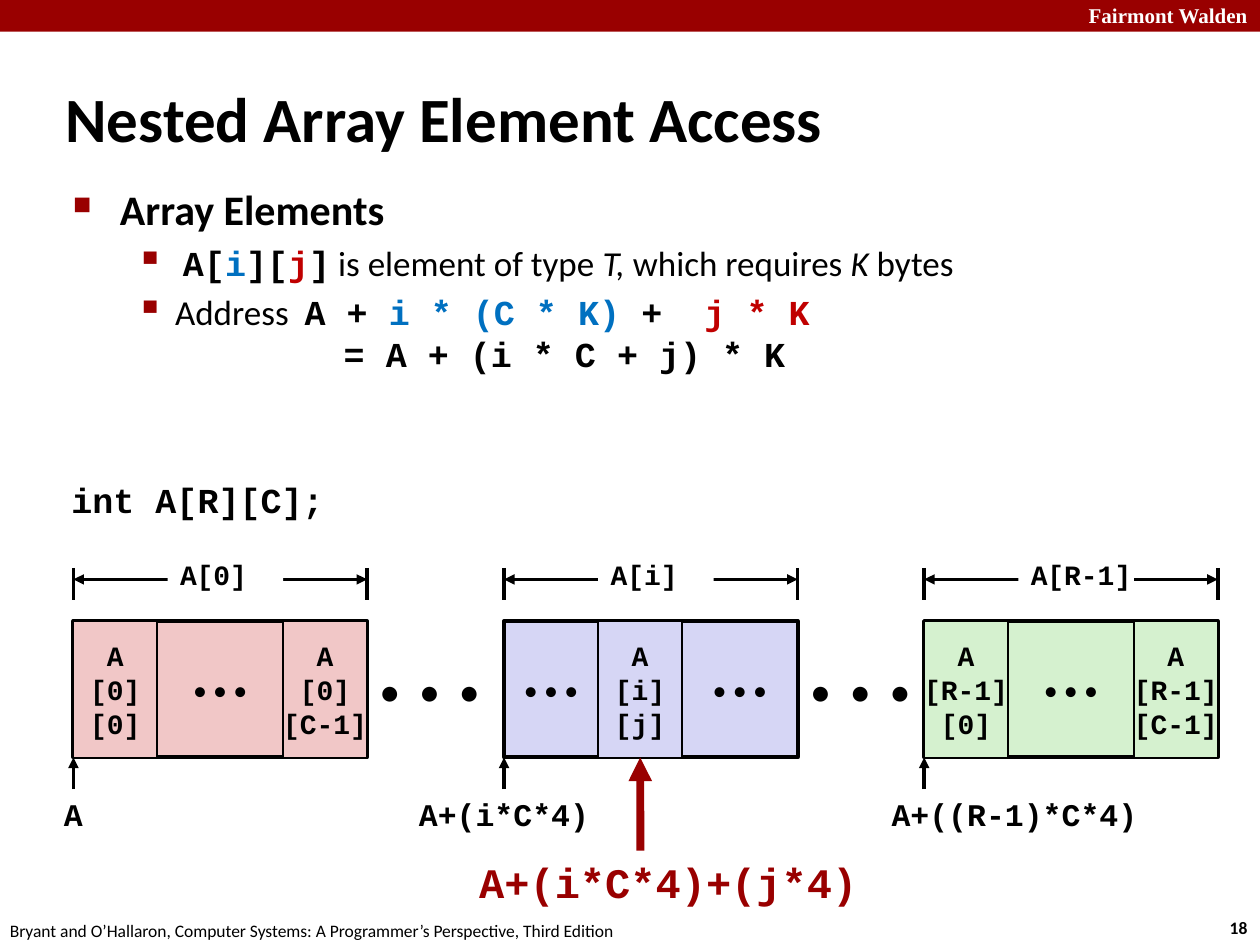
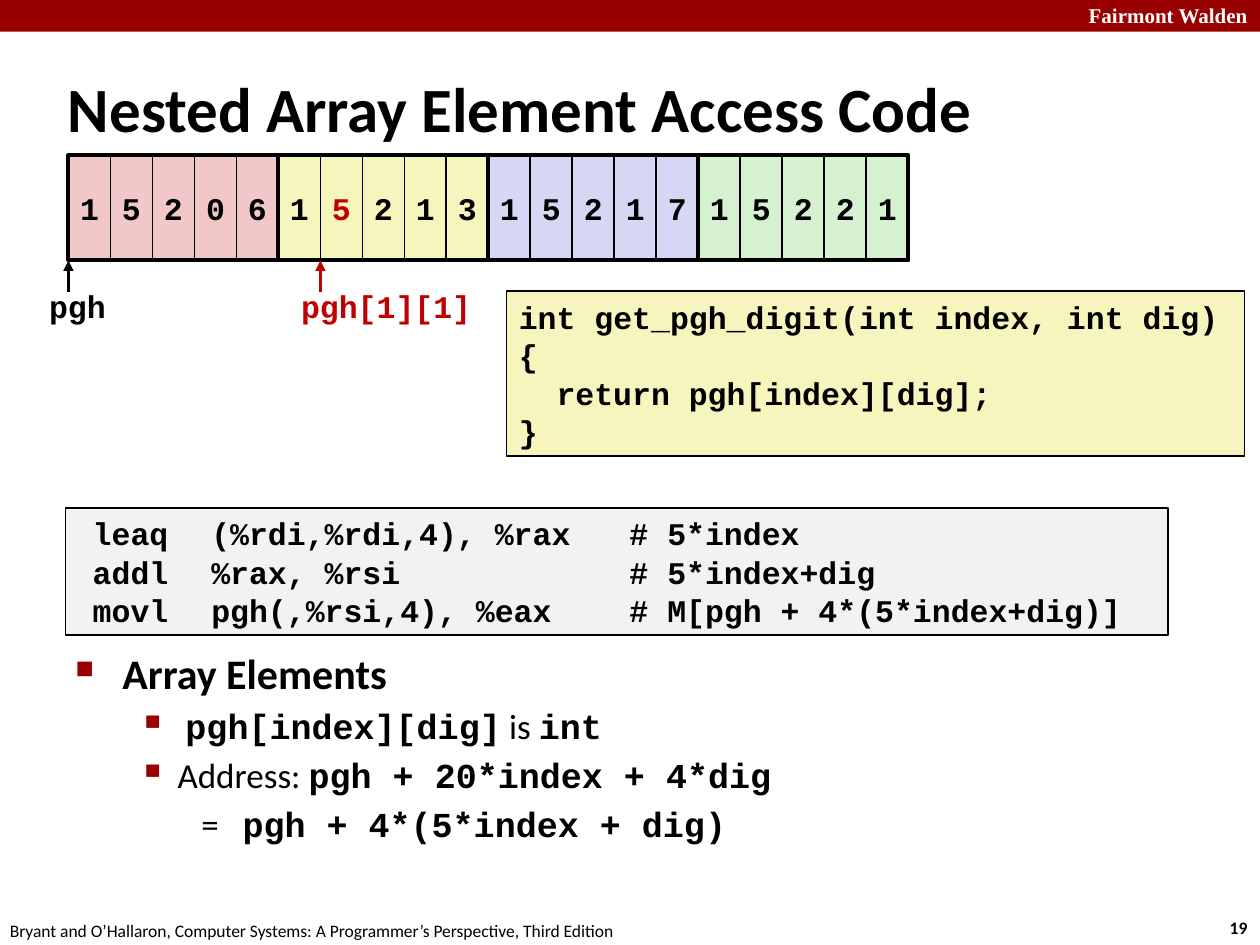
from dataclasses import dataclass
from typing import NamedTuple

from lxml.etree import SubElement
from pptx import Presentation
from pptx.dml.color import RGBColor
from pptx.enum.shapes import MSO_CONNECTOR as Link, MSO_SHAPE as Preset
from pptx.enum.text import MSO_ANCHOR as Anchor, PP_ALIGN as Align
from pptx.oxml.ns import qn
from pptx.util import Cm, Pt


@dataclass(frozen=True)
class Theme:
    """Colours, fonts and type sizes of the deck."""
    black: str = "000000"
    white: str = "FFFFFF"
    crimson: str = "990000"
    red: str = "C00000"
    blue: str = "0070C0"
    pink: str = "F1C7C7"
    yellow: str = "F6F5BD"
    lilac: str = "D6D6F5"
    green: str = "D5F1CF"
    grey: str = "F2F2F2"
    sans: str = "Calibri"
    mono: str = "Courier New"
    serif: str = "Times New Roman"
    title: int = 36
    heading: int = 24
    body: int = 20
    code: int = 18
    cell: int = 16
    brand: int = 12
    footer: int = 10
    thin: float = 1
    rule: float = 2
    frame: float = 2.25
    heavy: float = 4.5
    leading: float = 1.21


class Box(NamedTuple):
    """A rectangle in centimetres."""
    left: float
    top: float
    width: float
    height: float

    @property
    def bottom(self):
        """Return the lower edge."""
        return self.top + self.height

    def lengths(self):
        """Return the four values as slide lengths."""
        return [Cm(value) for value in self]


T = Theme()
MONO = dict(font=T.mono, bold=True)
BRAND = "Fairmont Walden"
CITATION = ("Bryant and O’Hallaron, Computer Systems: "
            "A Programmer’s Perspective, Third Edition")
POINTER = 0.64


def rgb(code):
    """Turn a hex code into a colour."""
    return RGBColor.from_string(code)


def write(frame, text, *, size=T.body, font=T.sans, color=T.black, bold=False,
          italic=False, align=Align.LEFT, before=0, leading=None, margin=0,
          indent=0, bullet=None, bullet_size=100, tabs=()):
    """Add one paragraph, given as a string or as (text, format) runs."""
    first = frame.paragraphs[0]
    paragraph = frame.add_paragraph() if first.runs else first
    paragraph.alignment = align
    paragraph.space_before = Pt(before)
    if leading:
        paragraph.line_spacing = Pt(round(size * leading, 1))
    properties = paragraph._p.get_or_add_pPr()
    for name, length in (("marL", margin), ("indent", indent)):
        if length:
            properties.set(name, str(Cm(length)))
    if bullet:
        tint = SubElement(properties, qn("a:buClr"))
        SubElement(tint, qn("a:srgbClr"), val=T.crimson)
        SubElement(properties, qn("a:buSzPct"), val=str(bullet_size * 1000))
        SubElement(properties, qn("a:buChar"), char=bullet)
    if tabs:
        stops = SubElement(properties, qn("a:tabLst"))
        for stop in tabs:
            SubElement(stops, qn("a:tab"), pos=str(Cm(stop)), algn="l")
    base = dict(size=size, font=font, color=color, bold=bold, italic=italic)
    for words, changes in [(text, {})] if isinstance(text, str) else text:
        look = base | changes
        run = paragraph.add_run()
        run.text = words
        run.font.size = Pt(look["size"])
        run.font.name = look["font"]
        run.font.bold = look["bold"]
        run.font.italic = look["italic"]
        run.font.color.rgb = rgb(look["color"])
    return paragraph


def text_area(slide, box, anchor=Anchor.TOP, wrap=False):
    """Add a text box and return its frame."""
    frame = slide.shapes.add_textbox(*box.lengths()).text_frame
    frame.vertical_anchor = anchor
    frame.word_wrap = wrap
    return frame


def block(slide, box, fill=None, line=None, anchor=Anchor.MIDDLE, wrap=False):
    """Add a rectangle with an optional fill and black outline."""
    shape = slide.shapes.add_shape(Preset.RECTANGLE, *box.lengths())
    shape.shadow.inherit = False
    if fill:
        shape.fill.solid()
        shape.fill.fore_color.rgb = rgb(fill)
    else:
        shape.fill.background()
    if line:
        shape.line.color.rgb = rgb(T.black)
        shape.line.width = Pt(line)
    else:
        shape.line.fill.background()
    shape.text_frame.vertical_anchor = anchor
    shape.text_frame.word_wrap = wrap
    return shape


def stroke(slide, start, end, color=T.black, width=T.rule, arrows=(), target=None):
    """Draw a straight line, with arrowheads and a joined target if given."""
    line = slide.shapes.add_connector(
        Link.STRAIGHT, *[Cm(value) for value in (*start, *end)])
    line.line.color.rgb = rgb(color)
    line.line.width = Pt(width)
    for arrow in arrows:
        SubElement(line.line._get_or_add_ln(), qn(f"a:{arrow}"), type="triangle")
    SubElement(line._element.spPr, qn("a:effectLst"))
    if target:
        line.end_connect(target, 2)


def pointer(slide, x, tip, color=T.black):
    """Draw a short arrow that points up at an address."""
    stroke(slide, (x, tip + POINTER), (x, tip), color, arrows=["tailEnd"])


def label_width(text):
    """Return the width that a line of code needs with its margins."""
    return 0.38 * len(text) + 0.6


def base_slide(deck, number, title, title_box):
    """Add a slide with its band, title and footer."""
    slide = deck.slides.add_slide(deck.slide_layouts[6])
    block(slide, Box(0, 0, 25.4, 0.64), T.crimson)
    write(text_area(slide, Box(18.4, -0.08, 7, 0.76), wrap=True), BRAND,
          size=T.brand, font=T.serif, color=T.white, bold=True, align=Align.RIGHT)
    write(text_area(slide, Box(24.54, 18.36, 0.94, 0.69)), str(number),
          size=T.footer, bold=True)
    write(text_area(slide, Box(-0.05, 18.42, 12.9, 0.69)), CITATION, size=T.footer)
    write(text_area(slide, title_box, Anchor.MIDDLE, True), title,
          size=T.title, bold=True)
    return slide


def bullet_list(slide, box, heading, items):
    """Write a heading with bulleted items and return the frame."""
    frame = text_area(slide, box, wrap=True)
    write(frame, heading, size=T.heading, bold=True, before=4.8, margin=0.95,
          indent=-0.95, bullet="■", bullet_size=60)
    for item in items:
        write(frame, item, before=4, margin=2.06, indent=-0.79,
              bullet="▪", bullet_size=110)
    return frame


def span_bracket(slide, box, name):
    """Draw the dimension line above a row, with the row name."""
    right, level = box.left + box.width, box.top - 0.84
    for x in (box.left, right):
        stroke(slide, (x, box.top - 1.07), (x, box.top - 0.43))
    stroke(slide, (box.left, level), (right, level), arrows=["headEnd", "tailEnd"])
    plate = block(slide, Box(box.left + 1.9, box.top - 1.47, 2.33, 1.07), T.white)
    write(plate.text_frame, name, size=T.cell, **MONO)


def array_row(slide, box, fill, name, segments, address, shift=0):
    """Draw one row of the array and return its element cells."""
    block(slide, box, fill, T.frame)
    cells, left = [], box.left
    for width, lines in segments:
        part = Box(left, box.top, width, box.height)
        if lines:
            cell = block(slide, part, fill, T.thin)
            for line in lines:
                write(cell.text_frame, line, size=T.cell, align=Align.CENTER,
                      leading=T.leading, **MONO)
            cells.append(cell)
        else:
            write(text_area(slide, part, Anchor.MIDDLE), "•\u00a0•\u00a0•".replace("\u00a0", " "),
                  size=T.cell, align=Align.CENTER)
        left += width
    span_bracket(slide, box, name)
    pointer(slide, box.left, box.bottom)
    width = label_width(address)
    caption = Box(box.left + shift - width / 2, box.bottom + POINTER, width, 1)
    write(text_area(slide, caption), address, size=T.code, align=Align.CENTER, **MONO)
    return cells


def row_gap(slide, box):
    """Show the rows left out between two rows."""
    dots = write(text_area(slide, box, Anchor.MIDDLE), "• • •", size=T.heading)
    dots.runs[0].font._element.set("spc", "270")


def element_access_slide(deck):
    """Build the slide on the address of an element."""
    slide = base_slide(deck, 18, "Nested Array Element Access",
                       Box(1.07, 1.57, 19.25, 1.6))
    blue, red = MONO | {"color": T.blue}, MONO | {"color": T.red}
    italic = {"italic": True}
    frame = bullet_list(slide, Box(1.22, 3.58, 21.64, 4.04), "Array Elements", [
        [(" ", {}), ("A[", MONO), ("i", blue), ("][", MONO), ("j", red),
         ("]", MONO), (" is element of type ", {}), ("T, ", italic),
         ("which requires ", {}), ("K", italic), (" bytes", {})],
        [("Address ", {}), (" ", {}), ("A + ", MONO), ("i * (C * K) ", blue),
         ("+ ", MONO), (" j * K", red)]])
    write(frame, "= A + (i * C + j) * K", margin=5.46, leading=T.leading, **MONO)
    write(text_area(slide, Box(1.19, 9.53, 5.59, 1.09)), "int A[R][C];", **MONO)

    top, height, edge, dots = 12.52, 2.75, 1.69, (2.54, None)
    first, middle, last = [Box(x, top, 5.92, height) for x in (1.48, 10.16, 18.63)]
    for row in (first, middle):
        row_gap(slide, Box(row.left + row.width, top, 2.75, height))
    array_row(slide, first, T.pink, "A[0]",
              [(edge, ["A", "[0]", "[0]"]), dots, (edge, ["A", "[0]", "[C-1]"])], "A")
    [element] = array_row(slide, middle, T.lilac, "A[i]",
                          [(1.9, None), (edge, ["A", "[i]", "[j]"]), (2.33, None)],
                          "A+(i*C*4)")
    array_row(slide, last, T.green, "A[R-1]",
              [(edge, ["A", "[R-1]", "[0]"]), dots, (edge, ["A", "[R-1]", "[C-1]"])],
              "A+((R-1)*C*4)", shift=1.82)
    stroke(slide, (12.91, 17.15), (12.91, middle.bottom), T.crimson, T.heavy,
           ["tailEnd"], element)
    write(text_area(slide, Box(9.37, 17.15, 8.2, 1.27)), "A+(i*C*4)+(j*4)",
          size=T.heading, color=T.crimson, align=Align.CENTER, **MONO)


def digit_strip(slide, box, rows, marks):
    """Draw rows of digits end to end, with labelled pointers below."""
    row_width = box.width / len(rows)
    digit_width = row_width / len(rows[0][0])
    marked = {index for index, _, color in marks if color == T.red}
    for row, (digits, fill) in enumerate(rows):
        left = box.left + row * row_width
        for column, digit in enumerate(digits):
            cell = block(slide, Box(left + column * digit_width, box.top,
                                    digit_width, box.height), fill, T.thin)
            color = T.red if row * len(digits) + column in marked else T.black
            write(cell.text_frame, digit, size=T.code, color=color,
                  align=Align.CENTER, **MONO)
    for row in range(len(rows)):
        block(slide, Box(box.left + row * row_width, box.top, row_width, box.height),
              line=T.frame)
    for index, name, color in marks:
        x = box.left + index * digit_width
        pointer(slide, x, box.bottom, color)
        caption = Box(x - 0.64, box.bottom + 0.42, label_width(name), 1)
        write(text_area(slide, caption), name, size=T.code, color=color, **MONO)


def code_panel(slide, box, fill, lines, tabs=()):
    """Show lines of code, each with its indent, on a filled panel."""
    panel = block(slide, box, fill, T.thin, Anchor.TOP, True)
    for line, margin in lines:
        write(panel.text_frame, line, size=T.code, margin=margin, tabs=tabs,
              leading=T.leading, **MONO)


def access_code_slide(deck):
    """Build the slide on the code that reads an element."""
    slide = base_slide(deck, 19, "Nested Array Element Access Code",
                       Box(1.12, 1.37, 23.01, 1.6))
    frame = bullet_list(slide, Box(1.27, 12.93, 23.11, 4.85), "Array Elements", [
        [(" ", {}), ("pgh[index][dig]", MONO), (" is ", {}), ("int", MONO)],
        [("Address: ", {}), ("pgh + 20*index + 4*dig", MONO)]])
    write(frame, [("=\t", {}), ("pgh + 4*(5*index + dig)", MONO)],
          before=4, margin=3.37, indent=-0.83)
    code_panel(slide, Box(10.21, 5.87, 14.88, 3.33), T.yellow, [
        ("int get_pgh_digit(int index, int dig)", 0), ("{", 0),
        ("return pgh[index][dig];", 0.76), ("}", 0)])
    code_panel(slide, Box(1.32, 10.24, 22.22, 2.57), T.grey, [
        ("\tleaq\t(%rdi,%rdi,4), %rax\t# 5*index", 0),
        ("\taddl\t%rax, %rsi\t# 5*index+dig", 0),
        ("\tmovl\tpgh(,%rsi,4), %eax\t# M[pgh + 4*(5*index+dig)]", 0)],
        tabs=(0.3, 2.69, 11.12))
    digit_strip(slide, Box(1.38, 3.13, 16.93, 2.12),
                [("15206", T.pink), ("15213", T.yellow),
                 ("15217", T.lilac), ("15221", T.green)],
                [(0, "pgh", T.black), (6, "pgh[1][1]", T.red)])


def main():
    """Build and save the deck."""
    deck = Presentation()
    deck.slide_width, deck.slide_height = Cm(25.4), Cm(19.05)
    element_access_slide(deck)
    access_code_slide(deck)
    deck.save("out.pptx")


if __name__ == "__main__":
    main()
